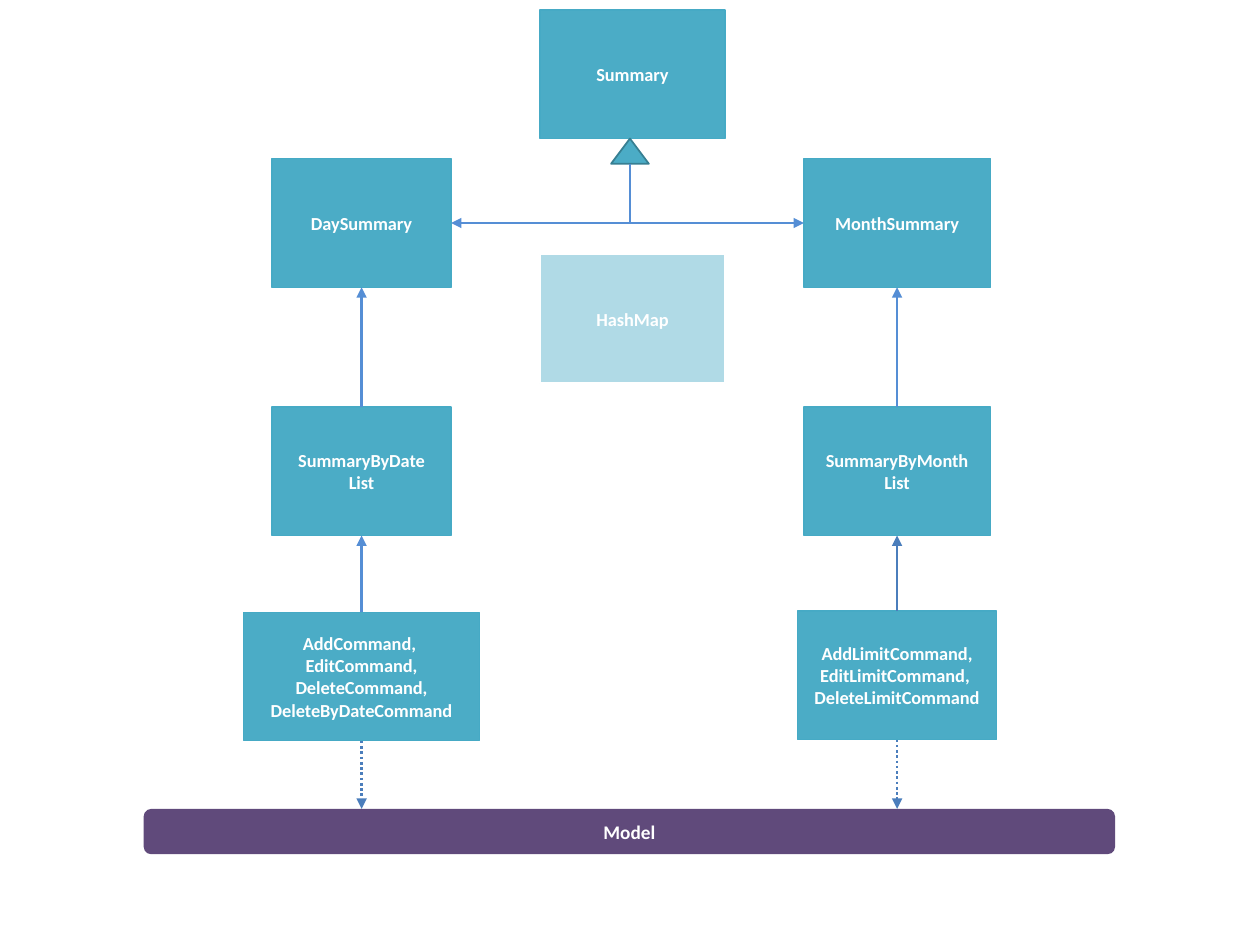
from lxml.etree import SubElement
from pptx import Presentation
from pptx.dml.color import RGBColor
from pptx.enum.dml import MSO_LINE
from pptx.enum.shapes import MSO_CONNECTOR, MSO_SHAPE
from pptx.enum.text import MSO_ANCHOR, PP_ALIGN
from pptx.oxml.ns import qn
from pptx.util import Inches, Pt

# Content
TEAL, TEAL_EDGE, PALE, PURPLE, WHITE = "4BACC6", "46AAC5", "B0DAE6", "604A7B", "FFFFFF"
LIGHT_BLUE, BLUE = "558ED5", "4B7EBC"
LEFT, MIDDLE, RIGHT = 2.87, 5.02, 7.12  # column centres
BOX_HEIGHT = 1.02

# key: (text, column centre, top, width, fill, edge)
CLASSES = {
    "summary": ("Summary", MIDDLE, 0.08, 1.47, TEAL, TEAL_EDGE),
    "hash_map": ("HashMap", MIDDLE, 2.02, 1.47, PALE, WHITE),
    "day": ("DaySummary", LEFT, 1.26, 1.42, TEAL, TEAL_EDGE),
    "month": ("MonthSummary", RIGHT, 1.26, 1.48, TEAL, TEAL_EDGE),
    "date_list": ("SummaryByDate\nList", LEFT, 3.23, 1.42, TEAL, TEAL_EDGE),
    "month_list": ("SummaryByMonth\nList", RIGHT, 3.23, 1.48, TEAL, TEAL_EDGE),
    "commands": ("AddCommand, \nEditCommand,\nDeleteCommand,\nDeleteByDateCommand",
                 LEFT, 4.86, 1.87, TEAL, TEAL_EDGE),
    "limit_commands": ("AddLimitCommand,\nEditLimitCommand, \nDeleteLimitCommand",
                       RIGHT, 4.85, 1.58, TEAL, TEAL_EDGE),
}
# upward arrows: (from, to, colour)
USES = [
    ("commands", "date_list", LIGHT_BLUE),
    ("limit_commands", "month_list", BLUE),
    ("date_list", "day", LIGHT_BLUE),
    ("month_list", "month", LIGHT_BLUE),
]
MODEL_TOP = 6.42
FORK_X, FORK_TOP = 5.0, 1.3


def color(hex_text):
    return RGBColor.from_string(hex_text)


def write(shape, text, size=10.5, font="Calibri", fill=WHITE):
    frame = shape.text_frame
    frame.word_wrap = True
    frame.vertical_anchor = MSO_ANCHOR.MIDDLE
    frame.text = text
    for paragraph in frame.paragraphs:
        paragraph.alignment = PP_ALIGN.CENTER
        paragraph.font.name = font
        paragraph.font.size = Pt(size)
        paragraph.font.bold = True
        paragraph.font.color.rgb = color(fill)


def add_block(kind, left, top, width, height, fill, edge=None, weight=0.75):
    block = slide.shapes.add_shape(kind, *map(Inches, (left, top, width, height)))
    block.shadow.inherit = False
    block.fill.solid()
    block.fill.fore_color.rgb = color(fill)
    if edge:
        block.line.color.rgb = color(edge)
        block.line.width = Pt(weight)
    else:
        block.line.fill.background()
    return block


def add_arrow(kind, x1, y1, x2, y2, line_color):
    arrow = slide.shapes.add_connector(kind, *map(Inches, (x1, y1, x2, y2)))
    arrow.line.color.rgb = color(line_color)
    arrow.line.width = Pt(1.5)
    SubElement(arrow.line._get_or_add_ln(), qn("a:tailEnd"), type="triangle")
    SubElement(arrow._element.spPr, qn("a:effectLst"))
    return arrow


def add_branch(x1, y1, x2, y2):
    """Elbow that runs down first, then sideways to its target."""
    width, height = y2 - y1, abs(x2 - x1)  # size before the quarter turn
    left, top = (x1 + x2 - width) / 2, (y1 + y2 - height) / 2
    branch = add_arrow(MSO_CONNECTOR.ELBOW, left, top, left + width, top + height, LIGHT_BLUE)
    properties = branch._element.spPr
    properties.find(qn("a:prstGeom")).set("prst", "bentConnector2")
    turn = properties.find(qn("a:xfrm"))
    turn.set("rot", str((270 if x2 > x1 else 90) * 60000))
    if x2 > x1:
        turn.set("flipH", "1")


presentation = Presentation()
presentation.slide_width, presentation.slide_height = Inches(10), Inches(7.5)
slide = presentation.slides.add_slide(presentation.slide_layouts[6])

# Model bar
model = add_block(MSO_SHAPE.ROUNDED_RECTANGLE, 1.14, MODEL_TOP, 7.71, 0.36, PURPLE)
write(model, "Model", size=11)

# Class boxes
boxes = {}
for key, (text, center, top, width, fill, edge) in CLASSES.items():
    boxes[key] = add_block(MSO_SHAPE.RECTANGLE, center - width / 2, top, width,
                           BOX_HEIGHT, fill, edge)
    write(boxes[key], text)

# Inheritance triangle and its two branches
add_block(MSO_SHAPE.ISOSCELES_TRIANGLE, FORK_X - 0.15, FORK_TOP - 0.2, 0.3, 0.2,
          TEAL, "377F92", 1)
for key, side in (("month", -1), ("day", 1)):
    _, center, top, width, *_ = CLASSES[key]
    add_branch(FORK_X, FORK_TOP, center + side * width / 2, top + BOX_HEIGHT / 2)

# Upward arrows between boxes
for source, target, line_color in USES:
    arrow = add_arrow(MSO_CONNECTOR.STRAIGHT, 0, 0, 1, 1, line_color)
    arrow.begin_connect(boxes[source], 0)
    arrow.end_connect(boxes[target], 2)

# Dotted arrows down to the model
for key in ("commands", "limit_commands"):
    _, center, top, *_ = CLASSES[key]
    arrow = add_arrow(MSO_CONNECTOR.STRAIGHT, center, top + BOX_HEIGHT, center, MODEL_TOP, BLUE)
    arrow.line.dash_style = MSO_LINE.ROUND_DOT
    arrow.begin_connect(boxes[key], 2)

presentation.save("out.pptx")
